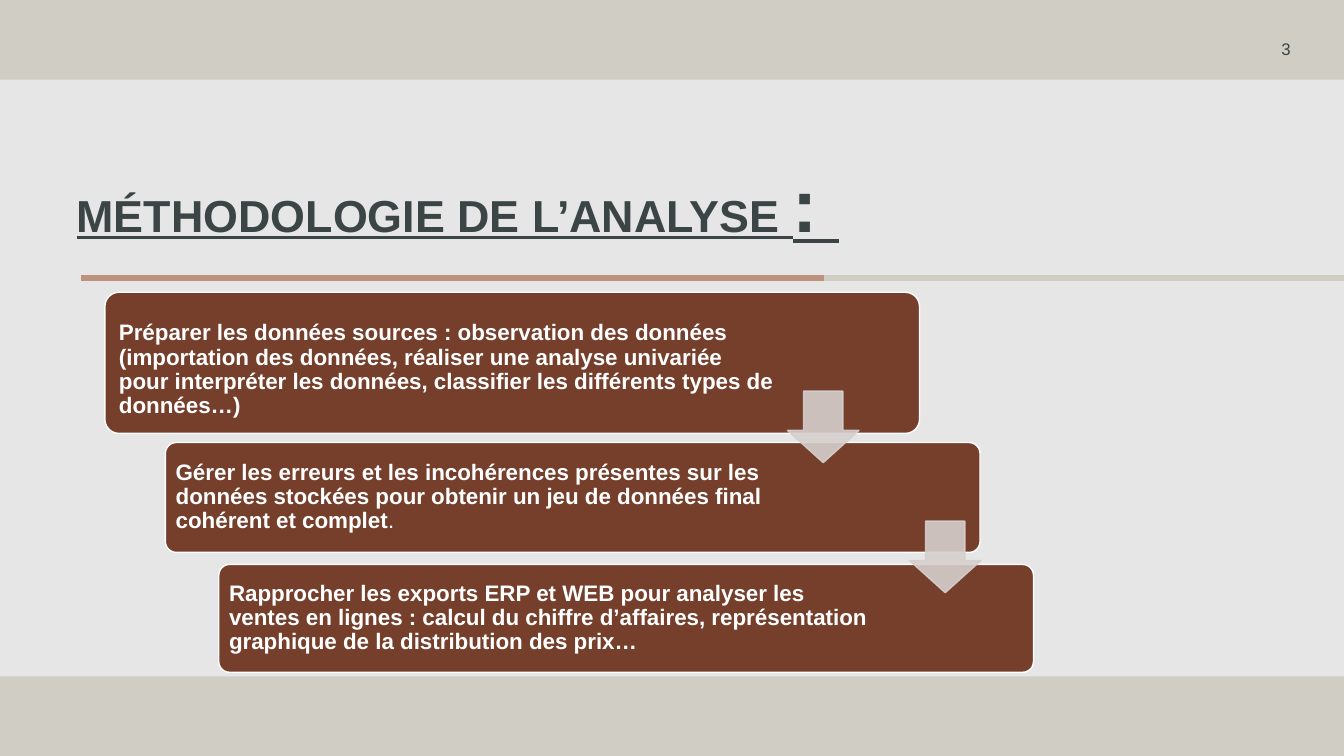
from dataclasses import dataclass

from lxml import etree
from pptx import Presentation
from pptx.dml.color import RGBColor
from pptx.enum.shapes import MSO_CONNECTOR, MSO_SHAPE
from pptx.enum.text import MSO_ANCHOR, MSO_AUTO_SIZE, PP_ALIGN
from pptx.oxml.ns import qn
from pptx.util import Inches, Pt

STRAIGHT = MSO_CONNECTOR.STRAIGHT
RECTANGLE, ROUNDED, DOWN_ARROW = (
    MSO_SHAPE.RECTANGLE, MSO_SHAPE.ROUNDED_RECTANGLE, MSO_SHAPE.DOWN_ARROW)
TOP, MIDDLE = MSO_ANCHOR.TOP, MSO_ANCHOR.MIDDLE
LEFT, RIGHT = PP_ALIGN.LEFT, PP_ALIGN.RIGHT
NO_AUTOFIT = MSO_AUTO_SIZE.NONE
TITLE_ONLY_LAYOUT = 5


@dataclass(frozen=True)
class Theme:
    font: str = "Arial"
    band: str = "D0CDC5"
    panel: str = "E7E6E6"
    accent: str = "BE937E"
    ink: str = "3B4546"
    card: str = "753F2C"
    arrow: str = "D6CFCD"
    white: str = "FFFFFF"
    title_size: int = 32
    colon_size: int = 54
    card_size: int = 16
    number_size: int = 12


@dataclass(frozen=True)
class Step:
    left: float
    top: float
    height: float
    text: str
    inset: float = 0.07
    right_inset: float = 1.6
    top_shift: float = 0
    ending: str = ""


@dataclass(frozen=True)
class Rule:
    start: float
    end: float
    color: str


THEME = Theme()
CARD_WIDTH = 8.08
ARROW_SIZE = 0.71
RULE_Y = 2.76

RULES = [Rule(13.35, 8.15, THEME.band), Rule(8.17, 0.8, THEME.accent)]
STEPS = [
    Step(1.04, 2.9, 1.4,
         "Préparer les données sources : observation des données "
         "(importation des données, réaliser une analyse univariée pour "
         "interpréter les données, classifier les différents types de données…)",
         inset=0.1, right_inset=1.38, top_shift=0.14),
    Step(1.64, 4.39, 1.09,
         "Gérer les erreurs et les incohérences présentes sur les données "
         "stockées pour obtenir un jeu de données final cohérent et complet",
         ending="."),
    Step(2.17, 5.6, 1.07,
         "Rapprocher les exports ERP et WEB pour analyser les ventes en lignes : "
         "calcul du chiffre d’affaires, représentation graphique de la "
         "distribution des prix…"),
]
ARROWS = [(7.81, 3.88), (9.02, 5.17)]


def rgb(color: str) -> RGBColor:
    return RGBColor.from_string(color)


def add_text(paragraph, text: str, *, size: int, color: str,
             bold: bool = False, underline: bool = False) -> None:
    run = paragraph.add_run()
    run.text = text
    font = run.font
    font.name, font.size = THEME.font, Pt(size)
    font.bold, font.underline = bold, underline
    font.color.rgb = rgb(color)


def format_frame(frame, *, anchor, insets: tuple, spacing: float = 1, align=LEFT):
    """Lay out a text frame (insets: left, top, right, bottom); return its paragraph."""
    frame.word_wrap = True
    frame.auto_size = NO_AUTOFIT
    frame.vertical_anchor = anchor
    (frame.margin_left, frame.margin_top,
     frame.margin_right, frame.margin_bottom) = map(Inches, insets)
    paragraph = frame.paragraphs[0]
    paragraph.alignment = align
    paragraph.line_spacing = spacing
    return paragraph


def add_block(slide, kind, left: float, top: float, width: float, height: float,
              fill: str, outline: str = ""):
    block = slide.shapes.add_shape(
        kind, Inches(left), Inches(top), Inches(width), Inches(height))
    block.shadow.inherit = False
    block.fill.solid()
    block.fill.fore_color.rgb = rgb(fill)
    if outline:
        block.line.color.rgb = rgb(outline)
        block.line.width = Pt(1)
    else:
        block.line.fill.background()
    return block


def add_rule(slide, rule: Rule) -> None:
    line = slide.shapes.add_connector(
        STRAIGHT, Inches(rule.start), Inches(RULE_Y), Inches(rule.end), Inches(RULE_Y))
    line.line.color.rgb = rgb(rule.color)
    line.line.width = Pt(4.5)
    etree.SubElement(line._element.spPr, qn("a:effectLst"))


def add_title(slide) -> None:
    title = slide.shapes.title
    title.left, title.top = Inches(0.66), Inches(1.6)
    title.width, title.height = Inches(11.5), Inches(0.63)
    heading = format_frame(title.text_frame, anchor=TOP,
                           insets=(0.1, 0.13, 0.1, 0.05), spacing=0.8)
    for text, size in (("MÉTHODOLOGIE DE L’ANALYSE ", THEME.title_size),
                       (": ", THEME.colon_size)):
        add_text(heading, text, size=size, color=THEME.ink, bold=True, underline=True)


def add_page_number(slide) -> None:
    box = slide.shapes.add_textbox(Inches(11.07), Inches(0.33), Inches(1.83), Inches(0.3))
    number = format_frame(box.text_frame, anchor=MIDDLE,
                          insets=(0.1, 0.05, 0.1, 0.05), align=RIGHT)
    add_text(number, "3", size=THEME.number_size, color=THEME.ink)


def add_step(slide, step: Step) -> None:
    card = add_block(slide, ROUNDED, step.left, step.top, CARD_WIDTH, step.height,
                     THEME.card, THEME.white)
    card.adjustments[0] = 0.1
    insets = (step.inset, step.inset + step.top_shift, step.right_inset, step.inset)
    sentence = format_frame(card.text_frame, anchor=MIDDLE, insets=insets, spacing=0.9)
    add_text(sentence, step.text, size=THEME.card_size, color=THEME.white, bold=True)
    if step.ending:
        add_text(sentence, step.ending, size=THEME.card_size, color=THEME.white)


def add_arrow(slide, left: float, top: float) -> None:
    arrow = add_block(slide, DOWN_ARROW, left, top, ARROW_SIZE, ARROW_SIZE,
                      THEME.arrow, THEME.arrow)
    arrow.adjustments[0], arrow.adjustments[1] = 0.45, 0.55
    arrow.adjustments[0], arrow.adjustments[1] = 0.55, 0.45
    for color in arrow._element.spPr.iter(qn("a:srgbClr")):
        etree.SubElement(color, qn("a:alpha"), val="90000")


def main() -> None:
    deck = Presentation()
    deck.slide_width, deck.slide_height = Inches(13.33), Inches(7.5)
    slide = deck.slides.add_slide(deck.slide_layouts[TITLE_ONLY_LAYOUT])
    slide.background.fill.solid()
    slide.background.fill.fore_color.rgb = rgb(THEME.band)

    panel = add_block(slide, RECTANGLE, 0, 0.79, 13.33, 5.92, THEME.panel)
    slide.shapes.title._element.addprevious(panel._element)
    for rule in RULES:
        add_rule(slide, rule)
    add_title(slide)
    add_page_number(slide)
    for step in STEPS:
        add_step(slide, step)
    for left, top in ARROWS:
        add_arrow(slide, left, top)
    deck.save("out.pptx")


if __name__ == "__main__":
    main()
